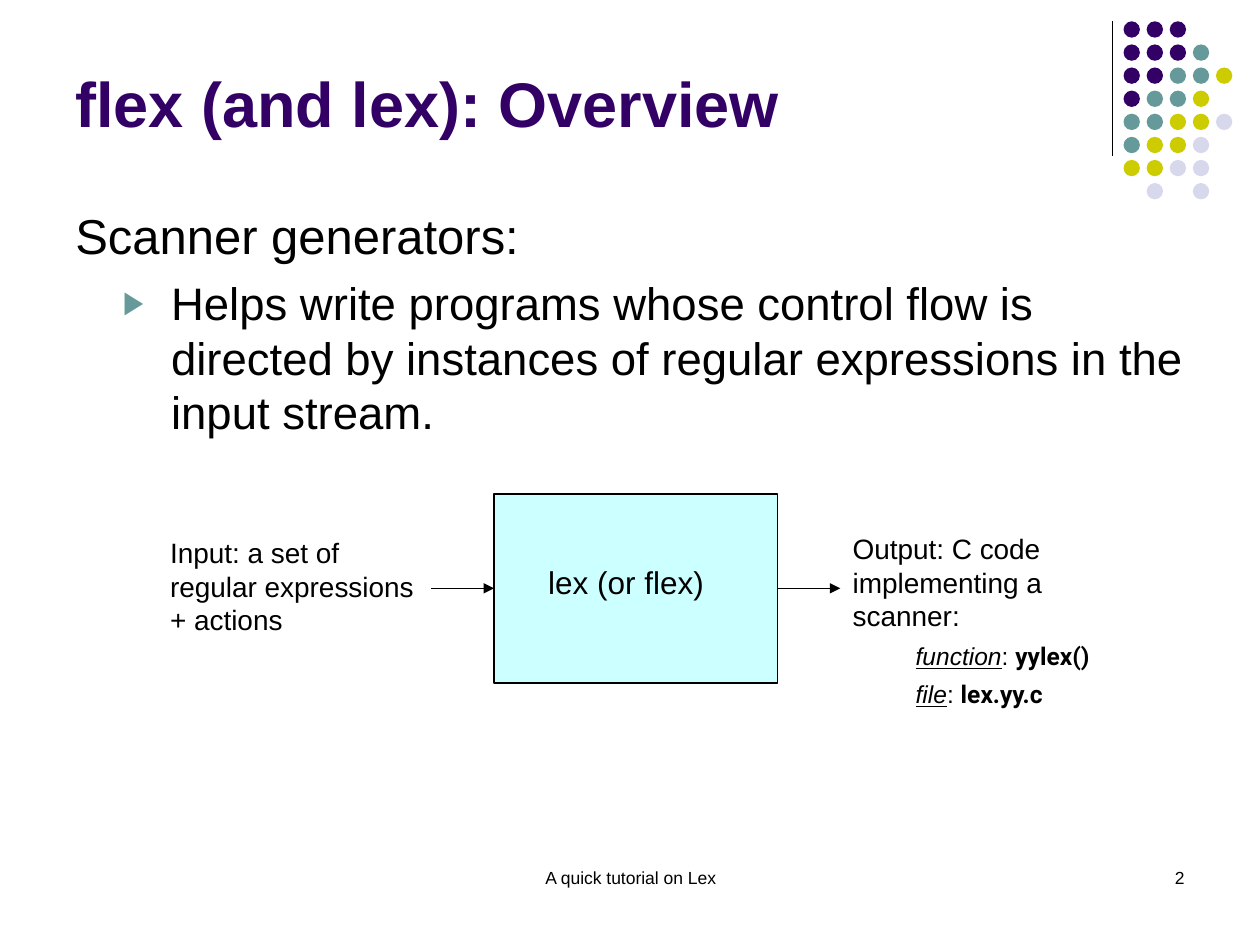
from lxml import etree
from pptx import Presentation
from pptx import util as u
from pptx.dml.color import RGBColor
from pptx.enum import shapes, text
from pptx.oxml.ns import qn

INK = {"black": "000000", "plum": "330066", "teal": "669999",
       "lime": "CCCC00", "mist": "D8D8EC", "aqua": "CCFFFF"}
CODE = {"name": "Roboto", "bold": True}
TERM = {"italic": True, "underline": True}
LEFT, MID, RIGHT = text.PP_ALIGN.LEFT, text.PP_ALIGN.CENTER, text.PP_ALIGN.RIGHT
TOP, CENTRE, BASE = (text.MSO_ANCHOR.TOP, text.MSO_ANCHOR.MIDDLE,
                     text.MSO_ANCHOR.BOTTOM)

# One letter per dot: plum, teal, lime, mist
DOTS = ["ppp", "pppt", "ppttl", "pttl", "ttllm", "tllm", "llmm", " m m"]
DOT = {name[0]: name for name in ("plum", "teal", "lime", "mist")}
STEP = 3.26 / 7


def rgb(name):
    return RGBColor.from_string(INK[name])


def cm(*sizes):
    return [u.Cm(size) for size in sizes]


def write(para, words, size=16, name="Arial", color="black", **marks):
    """Add a run; marks are font flags such as bold or italic."""
    run = para.add_run()
    run.text = words
    font = run.font
    font.size, font.name = u.Pt(size), name
    font.color.rgb = rgb(color)
    for mark, value in marks.items():
        setattr(font, mark, value)


def indent(para, left, hang=0):
    props = para._p.get_or_add_pPr()
    props.set("marL", str(u.Cm(left)))
    props.set("indent", str(u.Cm(-hang)))
    return props


def bullet(para, sign, color, scale):
    props = indent(para, 1.93, 0.97)
    tint = etree.SubElement(props, qn("a:buClr"))
    etree.SubElement(tint, qn("a:srgbClr"), val=INK[color])
    etree.SubElement(props, qn("a:buSzPct"), val=str(scale * 1000))
    etree.SubElement(props, qn("a:buFont"), typeface="Arial")
    etree.SubElement(props, qn("a:buChar"), char=sign)


class Deck:
    def __init__(self):
        self.prs = Presentation()
        self.prs.slide_width, self.prs.slide_height = cm(25.4, 19.05)
        self.slide = self.prs.slides.add_slide(self.prs.slide_layouts[5])
        self.items = self.slide.shapes

    def frame(self, shape, anchor=TOP, align=LEFT):
        body = shape.text_frame
        body.word_wrap = True
        body.auto_size = text.MSO_AUTO_SIZE.NONE
        body.vertical_anchor = anchor
        body.paragraphs[0].alignment = align
        return body

    def title(self, words, left, top, wide, high):
        shape = self.items.title
        shape.left, shape.top, shape.width, shape.height = cm(
            left, top, wide, high)
        para = self.frame(shape, BASE).paragraphs[0]
        write(para, words, size=36, color="plum", bold=True)

    def label(self, words, left, top, wide, high, size=16, **place):
        box = self.items.add_textbox(*cm(left, top, wide, high))
        body = self.frame(box, **place)
        write(body.paragraphs[0], words, size=size)
        return body

    def shape(self, kind, left, top, wide, high, fill, edge=None):
        item = self.items.add_shape(kind, *cm(left, top, wide, high))
        item.shadow.inherit = False
        item.fill.solid()
        item.fill.fore_color.rgb = rgb(fill)
        if edge:
            item.line.color.rgb = rgb(edge)
            item.line.width = u.Pt(0.75)
        else:
            item.line.fill.background()

    def line(self, x1, y1, x2, y2, arrow=False):
        item = self.items.add_connector(
            shapes.MSO_CONNECTOR.STRAIGHT, *cm(x1, y1, x2, y2))
        item.line.color.rgb = rgb("black")
        item.line.width = u.Pt(0.75)
        if arrow:
            etree.SubElement(item.line._get_or_add_ln(), qn("a:tailEnd"),
                             type="triangle")
        etree.SubElement(item._element.spPr, qn("a:effectLst"))


def main():
    deck = Deck()
    oval = shapes.MSO_SHAPE.OVAL

    # Corner rule and dots
    deck.line(22.43, 0.43, 22.43, 3.15)
    for row, marks in enumerate(DOTS):
        for col, mark in enumerate(marks):
            if mark in DOT:
                deck.shape(oval, 22.65 + col * STEP, 0.43 + row * STEP,
                           0.33, 0.33, DOT[mark])

    # Title and main text
    deck.title("flex (and lex): Overview", 1.27, 0.33, 20.96, 2.62)
    body = deck.label("Scanner generators:", 1.27, 4.01, 22.86, 5.5, size=28)
    para = body.add_paragraph()
    bullet(para, "▶", "teal", 70)
    para.space_before = u.Pt(6.5)
    write(para, "Helps write programs whose control flow is directed by "
          "instances of regular expressions in the input stream.", size=26)

    # Flow from input through lex to output
    deck.shape(shapes.MSO_SHAPE.RECTANGLE, 9.96, 9.96, 5.72, 3.81,
               "aqua", edge="black")
    deck.label("lex (or flex)", 10.8, 11.23, 3.96, 1.02, size=18,
               anchor=CENTRE)
    deck.label("Input: a set of regular expressions + actions",
               3.18, 10.67, 5.54, 2.29)
    out = deck.label("Output: C code implementing a scanner:",
                     16.94, 10.59, 5.97, 3.84)
    for term, code in (("function", "yylex()"), ("file", "lex.yy.c")):
        para = out.add_paragraph()
        indent(para, 1.27)
        para.line_spacing = 1.3
        write(para, term, size=14, **TERM)
        write(para, ": ", size=14)
        write(para, code, size=14, **CODE)
    for start in (8.69, 15.67):
        deck.line(start, 11.86, start + 1.27, 11.86, arrow=True)

    # Footer
    deck.label("A quick tutorial on Lex", 8.69, 17.35, 8.05, 1.27, size=10,
               align=MID)
    deck.label("2", 18.21, 17.35, 5.92, 1.27, size=10, align=RIGHT)

    deck.prs.save("out.pptx")


if __name__ == "__main__":
    main()
